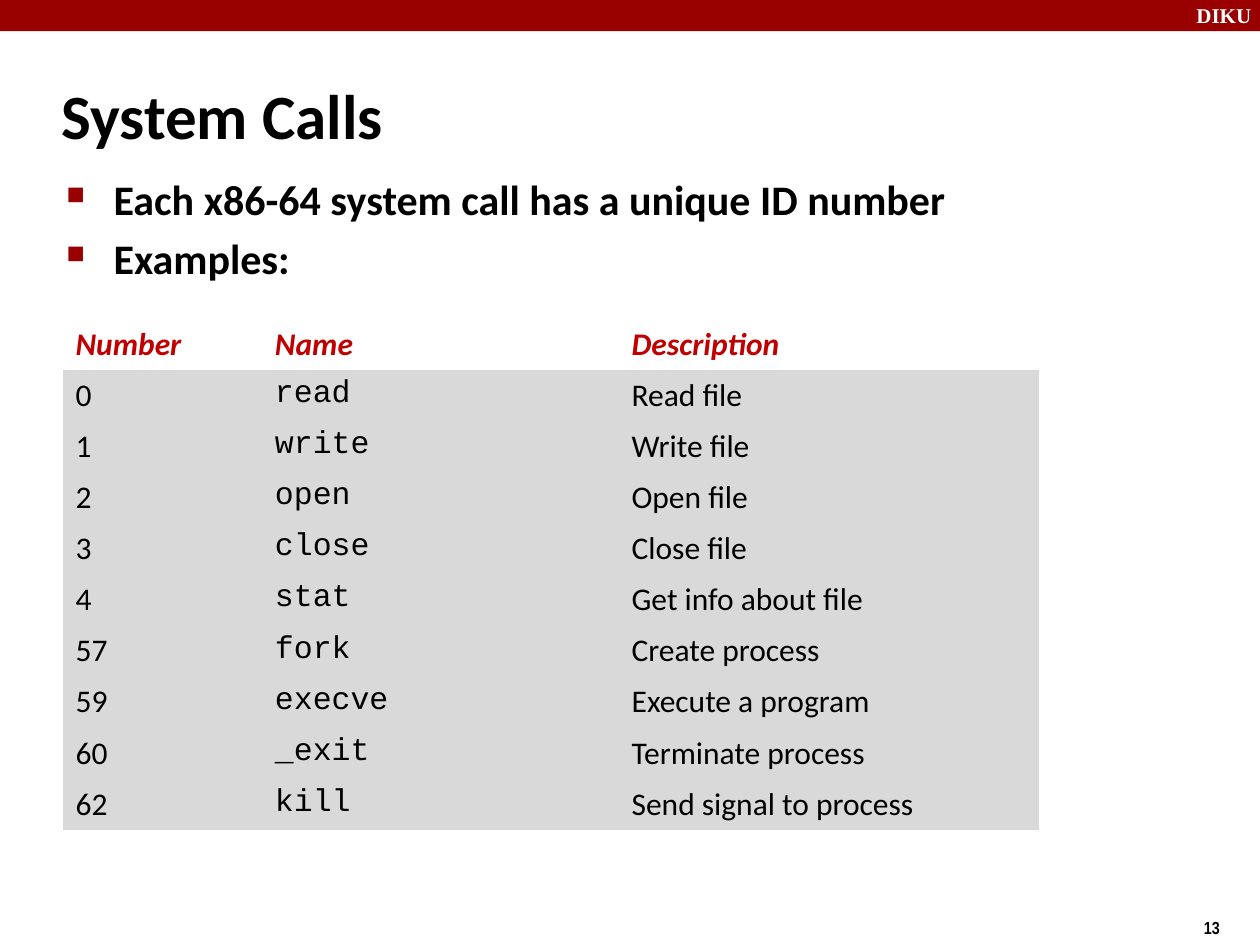
from lxml import etree
from pptx import Presentation
from pptx.dml.color import RGBColor
from pptx.enum.shapes import MSO_SHAPE
from pptx.enum.text import MSO_ANCHOR
from pptx.oxml.ns import qn
from pptx.util import Cm, Pt

RECTANGLE = MSO_SHAPE.RECTANGLE
TOP, MIDDLE = MSO_ANCHOR.TOP, MSO_ANCHOR.MIDDLE

BLACK = RGBColor(0x00, 0x00, 0x00)
WHITE = RGBColor(0xFF, 0xFF, 0xFF)
DARK_RED = RGBColor(0x99, 0x00, 0x00)
HEADER_RED = RGBColor(0xC0, 0x00, 0x00)
GREY = RGBColor(0xD9, 0xD9, 0xD9)

BODY_FONT, CODE_FONT = "Calibri", "Courier New"
PLAIN_TABLE_STYLE = "{2D5ABB26-0587-4C30-8999-92F81FD0307C}"

HEADINGS = ("Number", "Name", "Description")
SYSTEM_CALLS = (
    ("0", "read", "Read file"),
    ("1", "write", "Write file"),
    ("2", "open", "Open file"),
    ("3", "close", "Close file"),
    ("4", "stat", "Get info about file"),
    ("57", "fork", "Create process"),
    ("59", "execve", "Execute a program"),
    ("60", "_exit", "Terminate process"),
    ("62", "kill", "Send signal to process"),
)


class SlideBuilder:
    """Holds the text style and the slide being filled."""

    def __init__(self, slide, font=BODY_FONT, color=BLACK):
        self.slide = slide
        self.font = font
        self.color = color

    def run(self, paragraph, text, size, font=None, color=None, bold=True, italic=False):
        run = paragraph.add_run()
        run.text = text
        run.font.name = font or self.font
        run.font.size = Pt(size)
        run.font.color.rgb = self.color if color is None else color
        run.font.bold = bold
        run.font.italic = italic

    def bar(self, left, top, width, height, color):
        bar = self.slide.shapes.add_shape(RECTANGLE, left, top, width, height)
        bar.shadow.inherit = False
        bar.fill.solid()
        bar.fill.fore_color.rgb = color
        bar.line.fill.background()

    def frame(self, left, top, width, height, anchor=TOP):
        frame = self.slide.shapes.add_textbox(left, top, width, height).text_frame
        frame.word_wrap = True
        frame.vertical_anchor = anchor
        return frame

    def label(self, left, top, width, height, text, size, anchor=TOP, **style):
        frame = self.frame(left, top, width, height, anchor)
        self.run(frame.paragraphs[0], text, size, **style)

    def bullets(self, left, top, width, height, items, size):
        frame = self.frame(left, top, width, height)
        for index, item in enumerate(items):
            paragraph = frame.add_paragraph() if index else frame.paragraphs[0]
            self.square_bullet(paragraph)
            if index:
                paragraph.space_before = Pt(4.8)
            self.run(paragraph, item, size)

    def square_bullet(self, paragraph):
        properties = paragraph._p.get_or_add_pPr()
        properties.set("marL", str(Cm(0.96)))
        properties.set("indent", str(Cm(-0.95)))
        color = etree.SubElement(properties, qn("a:buClr"))
        etree.SubElement(color, qn("a:srgbClr"), val=str(DARK_RED))
        etree.SubElement(properties, qn("a:buSzPct"), val="60000")
        etree.SubElement(properties, qn("a:buChar"), char="■")

    def table(self, left, top, widths, row_height, headings, rows, size):
        """Place a table with red italic headings and code in its second column."""
        count = len(rows) + 1
        frame = self.slide.shapes.add_table(
            count, len(widths), left, top, sum(widths), row_height * count)
        table = frame.table
        table._tbl.tblPr.find(qn("a:tableStyleId")).text = PLAIN_TABLE_STYLE
        table.horz_banding = False
        for column, width in zip(table.columns, widths):
            column.width = width
        for row in table.rows:
            row.height = row_height

        column_fonts = (BODY_FONT, CODE_FONT, BODY_FONT)
        for column, heading in enumerate(headings):
            self.cell(table.cell(0, column), heading, size, WHITE,
                      color=HEADER_RED, italic=True)
        for row, values in enumerate(rows, start=1):
            for column, (value, font) in enumerate(zip(values, column_fonts)):
                self.cell(table.cell(row, column), value, size, GREY,
                          font=font, bold=False)

    def cell(self, cell, text, size, fill, **style):
        cell.fill.solid()
        cell.fill.fore_color.rgb = fill
        self.run(cell.text_frame.paragraphs[0], text, size, **style)


def main():
    presentation = Presentation()
    presentation.slide_width = Cm(25.4)
    presentation.slide_height = Cm(19.05)
    builder = SlideBuilder(presentation.slides.add_slide(presentation.slide_layouts[6]))

    builder.bar(0, 0, presentation.slide_width, Cm(0.63), DARK_RED)
    builder.label(Cm(23.87), Cm(-0.07), Cm(1.7), Cm(0.77), "DIKU", 12,
                  font="Times New Roman", color=WHITE)
    builder.label(Cm(24.02), Cm(18.36), Cm(1.9), Cm(0.68), "13", 10,
                  font="Arial Narrow")
    builder.label(Cm(0.99), Cm(1.25), Cm(21.08), Cm(2.1), "System Calls", 36, MIDDLE)
    builder.table(Cm(1.27), Cm(6.43), (Cm(4.02), Cm(7.19), Cm(8.47)), Cm(1.03),
                  HEADINGS, SYSTEM_CALLS, 18)
    builder.bullets(Cm(1.08), Cm(3.38), Cm(21.95), Cm(14.8),
                    ("Each x86-64 system call has a unique ID number", "Examples:"), 24)

    presentation.save("out.pptx")


if __name__ == "__main__":
    main()
